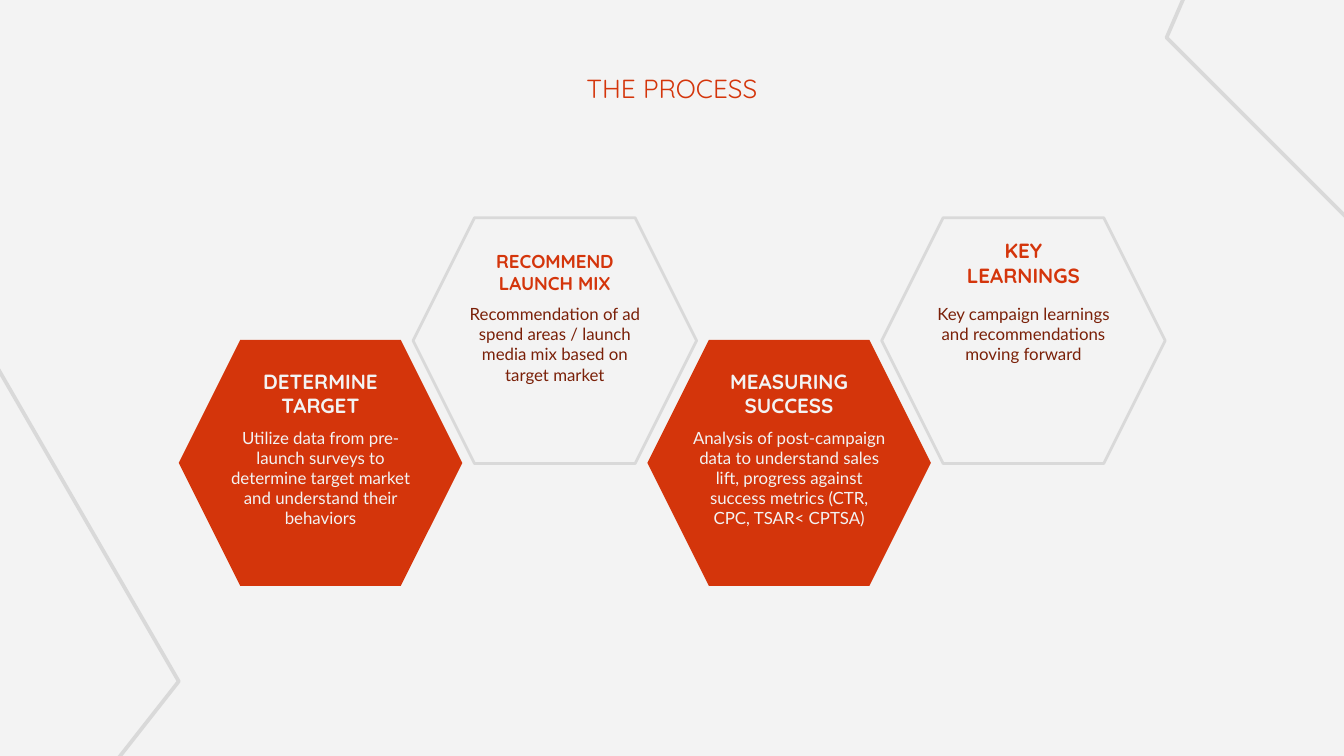
from dataclasses import dataclass

from pptx import Presentation
from pptx.dml.color import RGBColor
from pptx.enum.shapes import MSO_SHAPE
from pptx.enum.text import MSO_ANCHOR, PP_ALIGN
from pptx.util import Inches, Pt


@dataclass(frozen=True)
class Theme:
    background: str = "F3F3F3"
    accent: str = "D4350B"
    dark: str = "7A2008"
    outline: str = "D9D9D9"
    heading_font: str = "Quicksand"
    body_font: str = "Lato"
    title_size: int = 14
    heading_size: int = 11
    small_heading_size: int = 10
    body_size: int = 9
    hexagon_line: float = 1.5
    decoration_line: float = 2


THEME = Theme()
SLIDE_WIDTH = 10
SLIDE_HEIGHT = SLIDE_WIDTH * 9 / 16
GRID_LEFT, GRID_LAST = 1.33, 6.56
UPPER_ROW, LOWER_ROW = 1.62, 2.53
HEXAGON_WIDTH, HEXAGON_HEIGHT = 2.11, 1.83
HEADING_WIDTH, HEADING_HEIGHT = 1.13, 0.36
BODY_WIDTH, BODY_HEIGHT = 1.63, 1.06
UPPER_BODY_DROP, LOWER_BODY_DROP = 0.54, 0.55

STEPS = [
    ("DETERMINE TARGET",
     "Utilize data from pre-launch surveys to determine target market "
     "and understand their behaviors",
     THEME.heading_size, 0.32),
    ("RECOMMEND LAUNCH MIX",
     "Recommendation of ad spend areas / launch media mix based on target market",
     THEME.small_heading_size, 0.31),
    ("MEASURING SUCCESS",
     "Analysis of post-campaign data to understand sales lift, progress "
     "against success metrics (CTR, CPC, TSAR< CPTSA)",
     THEME.heading_size, 0.32),
    ("KEY LEARNINGS",
     "Key campaign learnings and recommendations moving forward",
     THEME.heading_size, 0.26),
]
COLUMN_STEP = (GRID_LAST - GRID_LEFT) / (len(STEPS) - 1)

DECORATIONS = [
    [(-0.19, 2.44), (1.33, 5.07), (0.38, 6.28)],
    [(10.83, 2.43), (8.68, 0.28), (9.29, -1.13)],
]


def color(name):
    return RGBColor.from_string(name)


def set_outline(shape, width):
    shape.shadow.inherit = False
    shape.fill.background()
    shape.line.color.rgb = color(THEME.outline)
    shape.line.width = Pt(width)


def add_decoration(slide, points):
    start, *corners = [(Inches(x), Inches(y)) for x, y in points]
    builder = slide.shapes.build_freeform(*start)
    builder.add_line_segments(corners, close=False)
    set_outline(builder.convert_to_shape(), THEME.decoration_line)


def add_hexagon(slide, left, top, filled):
    shape = slide.shapes.add_shape(
        MSO_SHAPE.HEXAGON, Inches(left), Inches(top),
        Inches(HEXAGON_WIDTH), Inches(HEXAGON_HEIGHT))
    set_outline(shape, THEME.hexagon_line)
    if filled:
        shape.fill.solid()
        shape.fill.fore_color.rgb = color(THEME.accent)
        shape.line.fill.background()


def add_text(slide, text, center, top, width, height, font_name, size,
             font_color, bold=False, anchor=MSO_ANCHOR.TOP):
    box = slide.shapes.add_textbox(
        Inches(center - width / 2), Inches(top), Inches(width), Inches(height))
    frame = box.text_frame
    frame.word_wrap = True
    frame.vertical_anchor = anchor
    frame.margin_left = frame.margin_right = Inches(0.1)
    frame.margin_top = frame.margin_bottom = Inches(0.1)
    frame.text = text
    paragraph = frame.paragraphs[0]
    paragraph.alignment = PP_ALIGN.CENTER
    font = paragraph.runs[0].font
    font.name, font.size, font.bold = font_name, Pt(size), bold
    font.color.rgb = color(font_color)


def is_lower(column):
    return column % 2 == 0


def step_position(column):
    top = LOWER_ROW if is_lower(column) else UPPER_ROW
    return GRID_LEFT + column * COLUMN_STEP, top


def add_step_text(slide, column, heading, body, heading_size, heading_drop):
    left, top = step_position(column)
    center = left + HEXAGON_WIDTH / 2
    if is_lower(column):
        heading_color = body_color = THEME.background
        body_drop = LOWER_BODY_DROP
    else:
        heading_color, body_color = THEME.accent, THEME.dark
        body_drop = UPPER_BODY_DROP
    add_text(slide, heading, center, top + heading_drop,
             HEADING_WIDTH, HEADING_HEIGHT, THEME.heading_font, heading_size,
             heading_color, bold=True, anchor=MSO_ANCHOR.BOTTOM)
    add_text(slide, body, center, top + body_drop, BODY_WIDTH, BODY_HEIGHT,
             THEME.body_font, THEME.body_size, body_color)


def main():
    presentation = Presentation()
    presentation.slide_width = Inches(SLIDE_WIDTH)
    presentation.slide_height = Inches(SLIDE_HEIGHT)
    slide = presentation.slides.add_slide(presentation.slide_layouts[6])
    slide.background.fill.solid()
    slide.background.fill.fore_color.rgb = color(THEME.background)

    for points in DECORATIONS:
        add_decoration(slide, points)
    add_text(slide, "THE PROCESS", SLIDE_WIDTH / 2, 0.44, 4.6, 0.75,
             THEME.heading_font, THEME.title_size, THEME.accent)
    for column in range(len(STEPS)):
        add_hexagon(slide, *step_position(column), filled=is_lower(column))
    for column, step in enumerate(STEPS):
        add_step_text(slide, column, *step)

    presentation.save("out.pptx")


if __name__ == "__main__":
    main()
